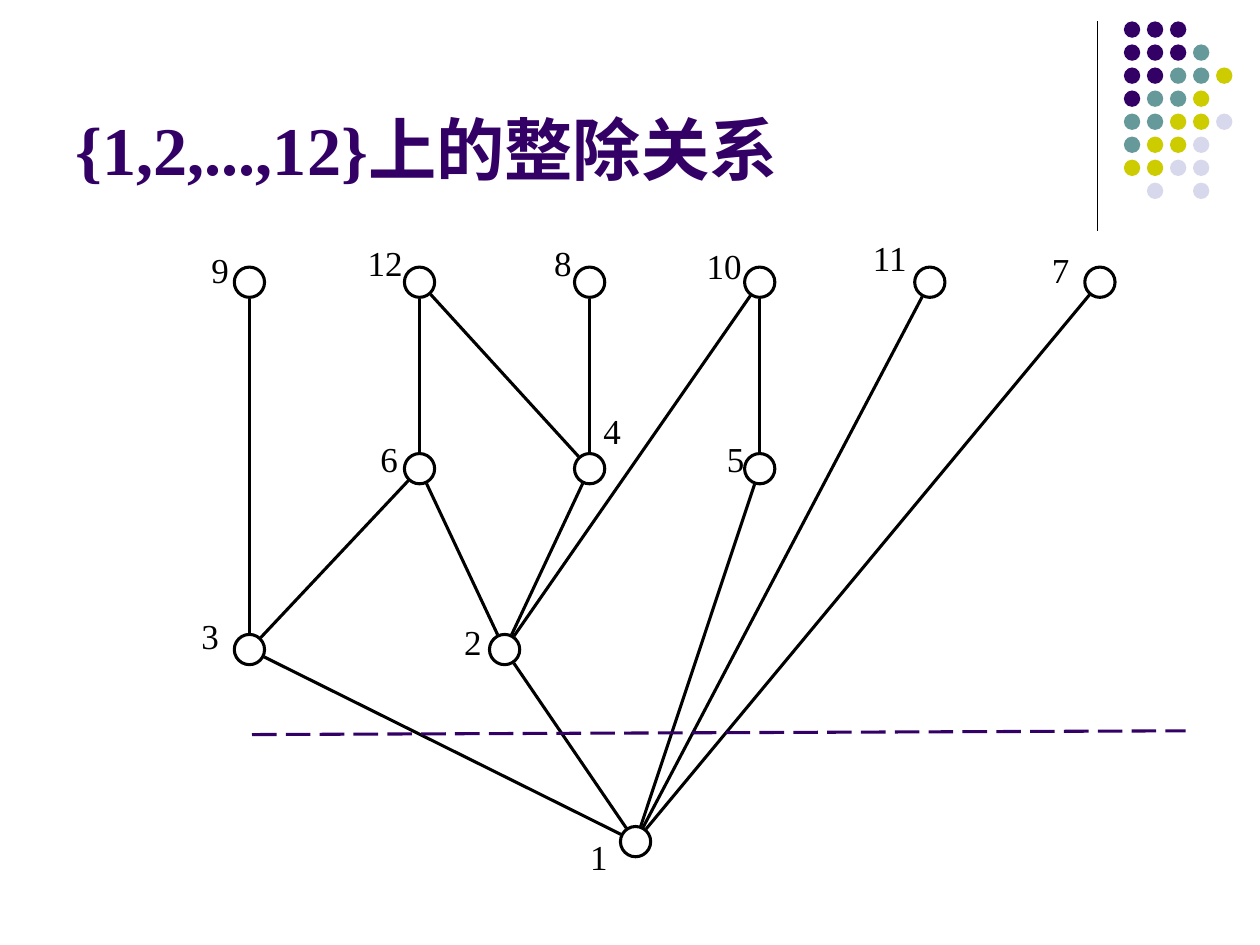
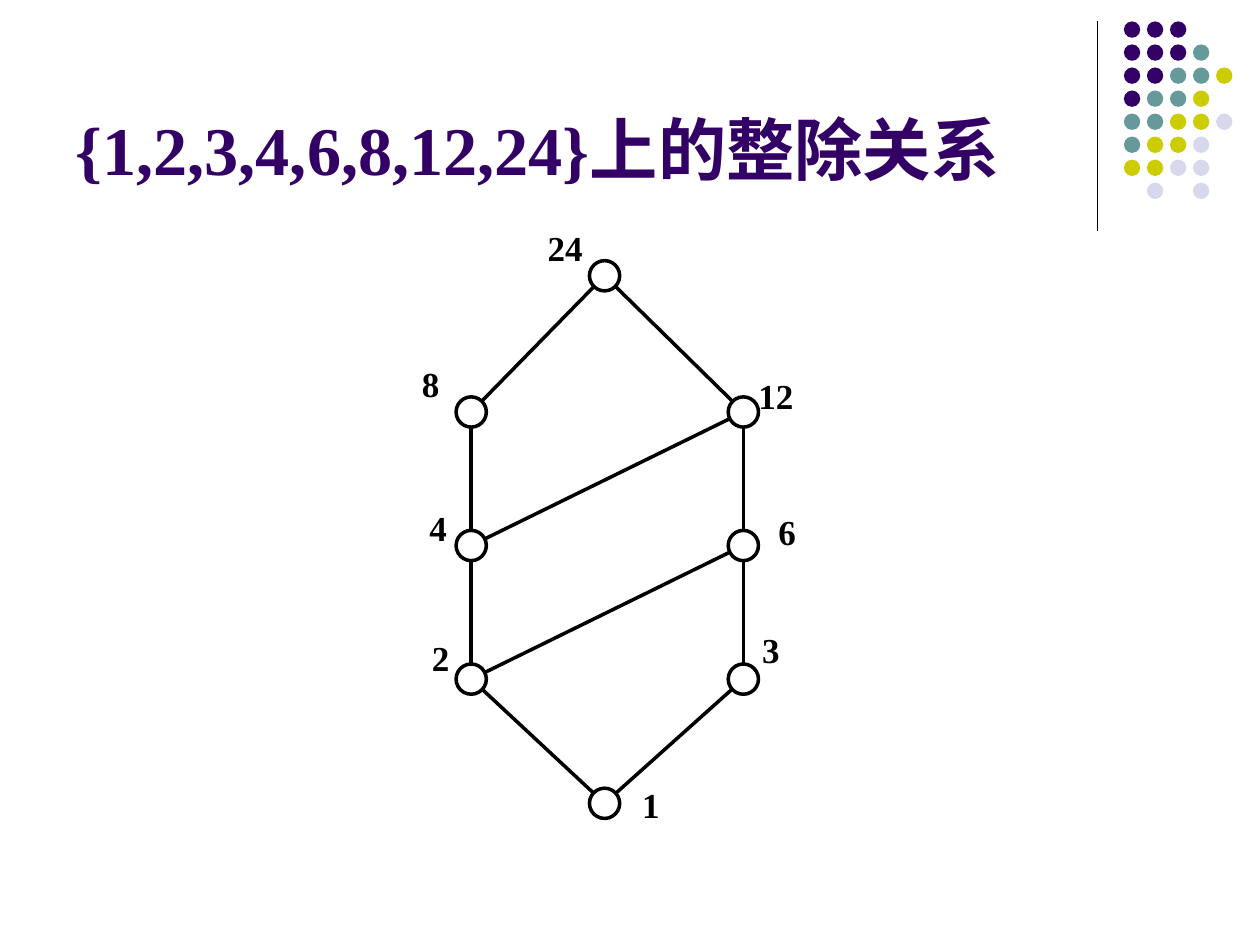
import math
from dataclasses import dataclass

import pptx
import pptx.dml.color
import pptx.enum.dml
import pptx.enum.lang
import pptx.enum.shapes
import pptx.enum.text
import pptx.oxml.ns
import pptx.util
from lxml import etree

Inches = pptx.util.Inches
RGB = pptx.dml.color.RGBColor.from_string


@dataclass(frozen=True)
class Theme:
    font: str = "Times New Roman"
    title_size: int = 39
    label_size: int = 20
    ink: str = "000000"
    accent: str = "330066"
    paper: str = "FFFFFF"
    teal: str = "669999"
    olive: str = "CCCC00"
    lilac: str = "D8D8EC"


THEME = Theme()
NODE_RADIUS = 0.12
EDGE_GAP = 0.01
DOT_SIZE = 0.13
DOT_PITCH = 1.28 / 7
DOT_ROWS = ("PPP", "PPPT", "PPTTY", "PTTY", "TTYYL", "TYYL", "YYLL", " L L")
DOT_COLOURS = {"P": THEME.accent, "T": THEME.teal, "Y": THEME.olive, "L": THEME.lilac}


@dataclass(frozen=True)
class Hasse:
    """A Hasse diagram on a grid.

    nodes: number -> (column, row, label box as left, top, width, height
    measured from the node's centre); covers: upper number -> lower numbers.
    """
    title: str
    origin: tuple
    pitch: tuple
    weight: float
    bold: bool
    fill: str | None
    nodes: dict
    covers: dict

    def centre(self, number):
        column, row, _ = self.nodes[number]
        return (self.origin[0] + column * self.pitch[0],
                self.origin[1] + row * self.pitch[1])


DIVISORS_TO_12 = Hasse(
    title="{1,2,...,12}上的整除关系",
    origin=(1.98, 2.24), pitch=(1.35, 1.48), weight=1.75, bold=False, fill=THEME.paper,
    nodes={
        9: (0, 0, (-0.40, -0.32, 0.45, 0.42)),
        12: (1, 0, (-0.51, -0.37, 0.51, 0.51)),
        8: (2, 0, (-0.38, -0.37, 0.84, 0.90)),
        10: (3, 0, (-0.52, -0.35, 0.49, 0.49)),
        11: (4, 0, (-0.55, -0.41, 0.58, 0.67)),
        7: (5, 0, (-0.48, -0.32, 0.78, 1.02)),
        6: (1, 1, (-0.41, -0.30, 0.77, 0.92)),
        4: (2, 1, (0.01, -0.52, 0.63, 0.81)),
        5: (3, 1, (-0.36, -0.30, 0.78, 1.02)),
        3: (0, 1.97, (-0.48, -0.33, 0.48, 0.51)),
        2: (1.5, 1.97, (-0.42, -0.28, 0.50, 0.70)),
        1: (2.27, 3, (-0.46, -0.10, 0.66, 0.49)),
    },
    covers={9: [3], 12: [6, 4], 8: [4], 10: [5, 2], 11: [1], 7: [1],
            6: [3, 2], 4: [2], 5: [1], 3: [1], 2: [1]},
)

DIVISORS_OF_24 = Hasse(
    title="{1,2,3,4,6,8,12,24}上的整除关系",
    origin=(3.74, 2.21), pitch=(1.08, 1.06), weight=2, bold=True, fill=None,
    nodes={
        24: (0.98, -0.02, (-0.55, -0.44, 1.05, 0.85)),
        8: (0, 1, (-0.49, -0.44, 0.82, 0.79)),
        12: (2, 1, (0.02, -0.35, 0.83, 0.43)),
        4: (0, 2, (-0.43, -0.36, 1.18, 1.12)),
        6: (2, 2, (0.18, -0.33, 0.77, 0.76)),
        2: (0, 3, (-0.41, -0.39, 0.88, 0.95)),
        3: (2, 3, (0.05, -0.45, 1.25, 0.75)),
        1: (0.98, 3.93, (0.20, -0.21, 0.83, 0.43)),
    },
    covers={24: [8, 12], 8: [4], 12: [4, 6], 4: [2], 6: [2, 3], 2: [1], 3: [1]},
)


def add_line(slide, start, end, colour, weight):
    line = slide.shapes.add_connector(
        pptx.enum.shapes.MSO_CONNECTOR.STRAIGHT, *map(Inches, (*start, *end)))
    line.line.color.rgb = RGB(colour)
    line.line.width = pptx.util.Pt(weight)
    etree.SubElement(line._element.spPr, pptx.oxml.ns.qn("a:effectLst"))
    return line


def add_circle(slide, left, top, size, fill, weight=None):
    circle = slide.shapes.add_shape(
        pptx.enum.shapes.MSO_SHAPE.OVAL, *map(Inches, (left, top, size, size)))
    circle.shadow.inherit = False
    if fill:
        circle.fill.solid()
        circle.fill.fore_color.rgb = RGB(fill)
    else:
        circle.fill.background()
    if weight:
        circle.line.color.rgb = RGB(THEME.ink)
        circle.line.width = pptx.util.Pt(weight)
    else:
        circle.line.fill.background()


def add_text(slide, box, text, size, colour, bold):
    frame = slide.shapes.add_textbox(*map(Inches, box)).text_frame
    frame.word_wrap = True
    run = frame.paragraphs[0].add_run()
    run.text = text
    run.font.name = THEME.font
    run.font.size = pptx.util.Pt(size)
    run.font.bold = bold
    run.font.color.rgb = RGB(colour)
    return frame


def add_title(slide, text):
    frame = add_text(slide, (0.5, 0.13, 8.25, 1.42), text,
                     THEME.title_size, THEME.accent, True)
    frame.vertical_anchor = pptx.enum.text.MSO_ANCHOR.BOTTOM
    language = pptx.enum.lang.MSO_LANGUAGE_ID.SIMPLIFIED_CHINESE
    frame.paragraphs[0].runs[0].font.language_id = language


def add_corner_dots(slide):
    add_line(slide, (8.71, 0.17), (8.71, 1.83), THEME.ink, 0.75)
    for row, colours in enumerate(DOT_ROWS):
        for column, key in enumerate(colours):
            if key in DOT_COLOURS:
                add_circle(slide, 8.92 + column * DOT_PITCH, 0.17 + row * DOT_PITCH,
                           DOT_SIZE, DOT_COLOURS[key])


def add_edge(slide, hasse, upper, lower):
    """Join two nodes from rim to rim."""
    (x1, y1), (x2, y2) = hasse.centre(upper), hasse.centre(lower)
    trim = (NODE_RADIUS + EDGE_GAP) / math.hypot(x2 - x1, y2 - y1)
    dx, dy = (x2 - x1) * trim, (y2 - y1) * trim
    add_line(slide, (x1 + dx, y1 + dy), (x2 - dx, y2 - dy), THEME.ink, hasse.weight)


def add_hasse(slide, hasse):
    for number, (_, _, (dx, dy, width, height)) in hasse.nodes.items():
        x, y = hasse.centre(number)
        add_circle(slide, x - NODE_RADIUS, y - NODE_RADIUS, 2 * NODE_RADIUS,
                   hasse.fill, hasse.weight)
        label = add_text(slide, (x + dx, y + dy, width, height), str(number),
                         THEME.label_size, THEME.ink, hasse.bold)
        label.paragraphs[0].alignment = pptx.enum.text.PP_ALIGN.JUSTIFY
    for upper, lowers in hasse.covers.items():
        for lower in lowers:
            add_edge(slide, hasse, upper, lower)


def add_hasse_slide(deck, hasse):
    slide = deck.slides.add_slide(deck.slide_layouts[6])
    add_corner_dots(slide)
    add_hasse(slide, hasse)
    add_title(slide, hasse.title)
    return slide


def main():
    deck = pptx.Presentation()
    deck.slide_width, deck.slide_height = Inches(10), Inches(7.5)
    to_12 = add_hasse_slide(deck, DIVISORS_TO_12)
    atom_boundary = add_line(to_12, (2, 5.83), (9.41, 5.8), THEME.accent, 1.75)
    atom_boundary.line.dash_style = pptx.enum.dml.MSO_LINE.LONG_DASH
    add_hasse_slide(deck, DIVISORS_OF_24)
    deck.save("out.pptx")


if __name__ == "__main__":
    main()
